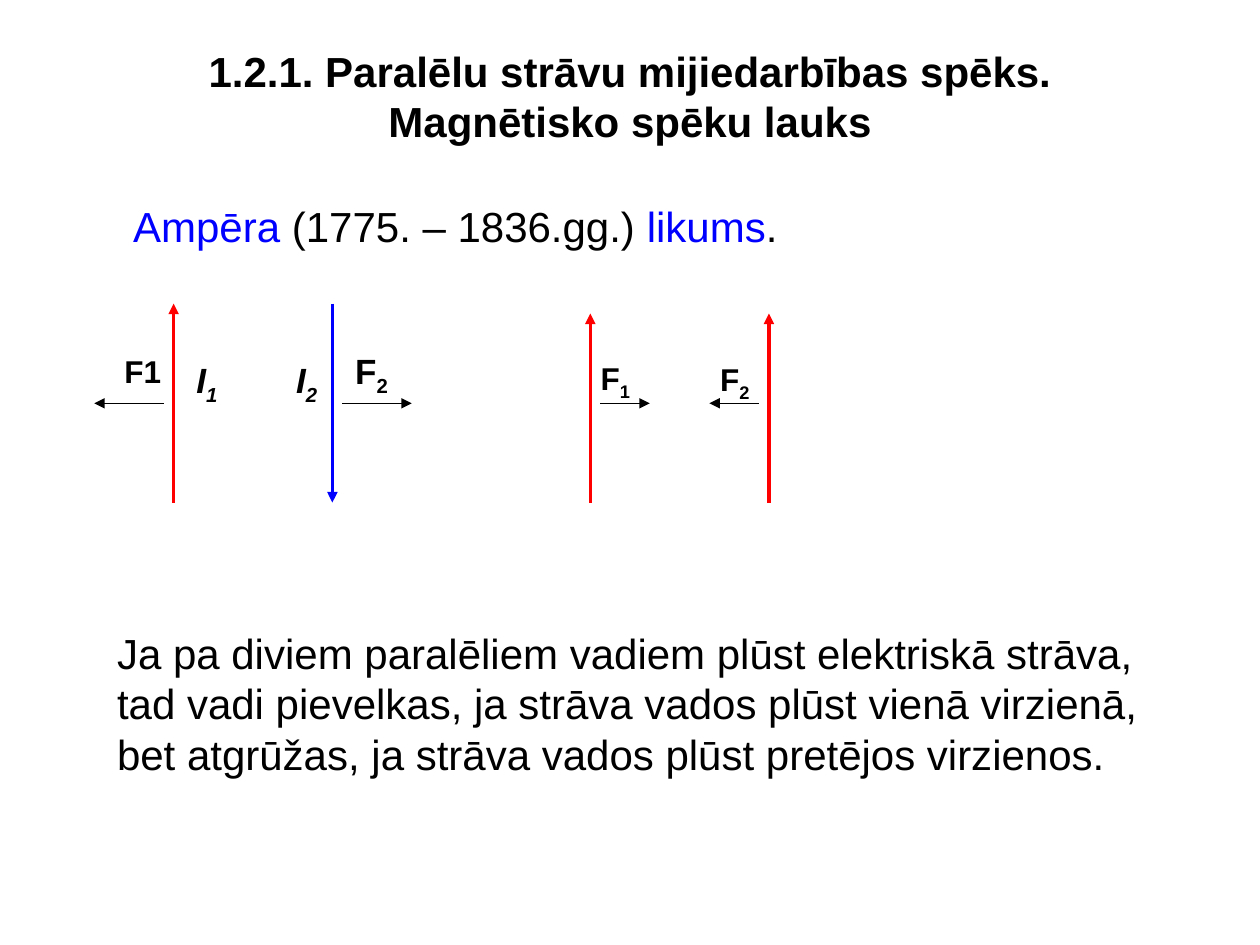
from lxml import etree
from pptx import Presentation
from pptx.dml.color import RGBColor
from pptx.enum import shapes, text
from pptx.oxml.ns import qn
from pptx.util import Cm, Pt

RED, BLUE, BLACK = "FF0000", "0000FF", "000000"


def paint(fmt, color):
    fmt.rgb = RGBColor.from_string(color)


def add_run(para, words, size, color=BLACK, bold=False, slant=False, sub=False):
    run = para.add_run()
    run.text = words
    font = run.font
    font.name, font.size, font.bold, font.italic = "Arial", Pt(size), bold, slant
    paint(font.color, color)
    if sub:
        run._r.get_or_add_rPr().set("baseline", "-25000")


prs = Presentation()
prs.slide_width, prs.slide_height = Cm(25.4), Cm(19.05)
slide = prs.slides.add_slide(prs.slide_layouts[1])

# Title
title = slide.shapes.title
title.left, title.top, title.width, title.height = Cm(1.27), Cm(0.91), Cm(22.86), Cm(3)
frame = title.text_frame
frame.vertical_anchor = text.MSO_ANCHOR.TOP
frame.margin_top = 0
para = frame.paragraphs[0]
para.alignment = text.PP_ALIGN.CENTER
add_run(para, "1.2.1. Paralēlu strāvu mijiedarbības spēks.", 24, bold=True)
para.add_line_break()
add_run(para, "Magnētisko spēku lauks", 24, bold=True)

# Name of the law
body = slide.placeholders[1]
body.left, body.top, body.width, body.height = Cm(1.3), Cm(3.91), Cm(22.86), Cm(14)
para = body.text_frame.paragraphs[0]
props = para._p.get_or_add_pPr()
props.set("marL", str(Cm(1.13)))
props.set("indent", "0")
etree.SubElement(props, qn("a:buNone"))
para.space_before = Pt(0)
for words, color in [("Ampēra ", BLUE), ("(1775. – 1836.gg.) ", BLACK),
                     ("likums", BLUE), (".", BLACK)]:
    add_run(para, words, 24, color)

# Currents (upright) and forces (level): x1, y1, x2, y2, colour, width
foot, mid = 10.13, 8.13
arrows = [
    (3.5, foot, 3.5, 6.12, RED, 2),
    (6.7, 6.12, 6.7, foot, BLUE, 2),
    (3.3, mid, 1.9, mid, BLACK, 0.75),
    (6.9, mid, 8.3, mid, BLACK, 0.75),
    (11.9, foot, 11.9, 6.32, RED, 2),
    (15.5, foot, 15.5, 6.32, RED, 2),
    (12.1, mid, 13.1, mid, BLACK, 0.75),
    (15.3, mid, 14.3, mid, BLACK, 0.75),
]
for x1, y1, x2, y2, color, width in arrows:
    arrow = slide.shapes.add_connector(
        shapes.MSO_CONNECTOR.STRAIGHT, Cm(x1), Cm(y1), Cm(x2), Cm(y2))
    arrow.line.width = Pt(width)
    paint(arrow.line.color, color)
    etree.SubElement(arrow.line._get_or_add_ln(), qn("a:tailEnd"), type="triangle")
    etree.SubElement(arrow._element.spPr, qn("a:effectLst"))

# Labels: left, top, width, height, letter, subscript, size, italic
labels = [
    (2.26, 6.98, 1.24, 1.02, "F1", "", 18, False),
    (6.91, 6.93, 1.2, 1.22, "F", "2", 20, False),
    (3.71, 7.11, 0.91, 1.22, "I", "1", 20, True),
    (5.72, 7.11, 0.91, 1.22, "I", "2", 20, True),
    (11.86, 7.11, 1.1, 1.12, "F", "1", 18, False),
    (14.27, 7.14, 1.1, 1.98, "F", "2", 18, False),
]
for left, top, width, height, sign, index, size, slant in labels:
    box = slide.shapes.add_textbox(Cm(left), Cm(top), Cm(width), Cm(height))
    frame = box.text_frame
    frame.word_wrap = True
    frame.margin_right = 0
    para = frame.paragraphs[0]
    add_run(para, sign, size, bold=True, slant=slant)
    if index:
        add_run(para, index, size, bold=True, slant=slant, sub=True)

# Statement of the law
box = slide.shapes.add_textbox(Cm(2.11), Cm(12.52), Cm(21.31), Cm(3.3))
frame = box.text_frame
frame.word_wrap = True
frame.margin_right = 0
lines = [
    "Ja pa diviem paralēliem vadiem plūst elektriskā strāva,",
    "tad vadi pievelkas, ja strāva vados plūst vienā virzienā,",
    "bet atgrūžas, ja strāva vados plūst pretējos virzienos.",
]
for i, words in enumerate(lines):
    para = frame.add_paragraph() if i else frame.paragraphs[0]
    add_run(para, words, 24)

prs.save("out.pptx")
